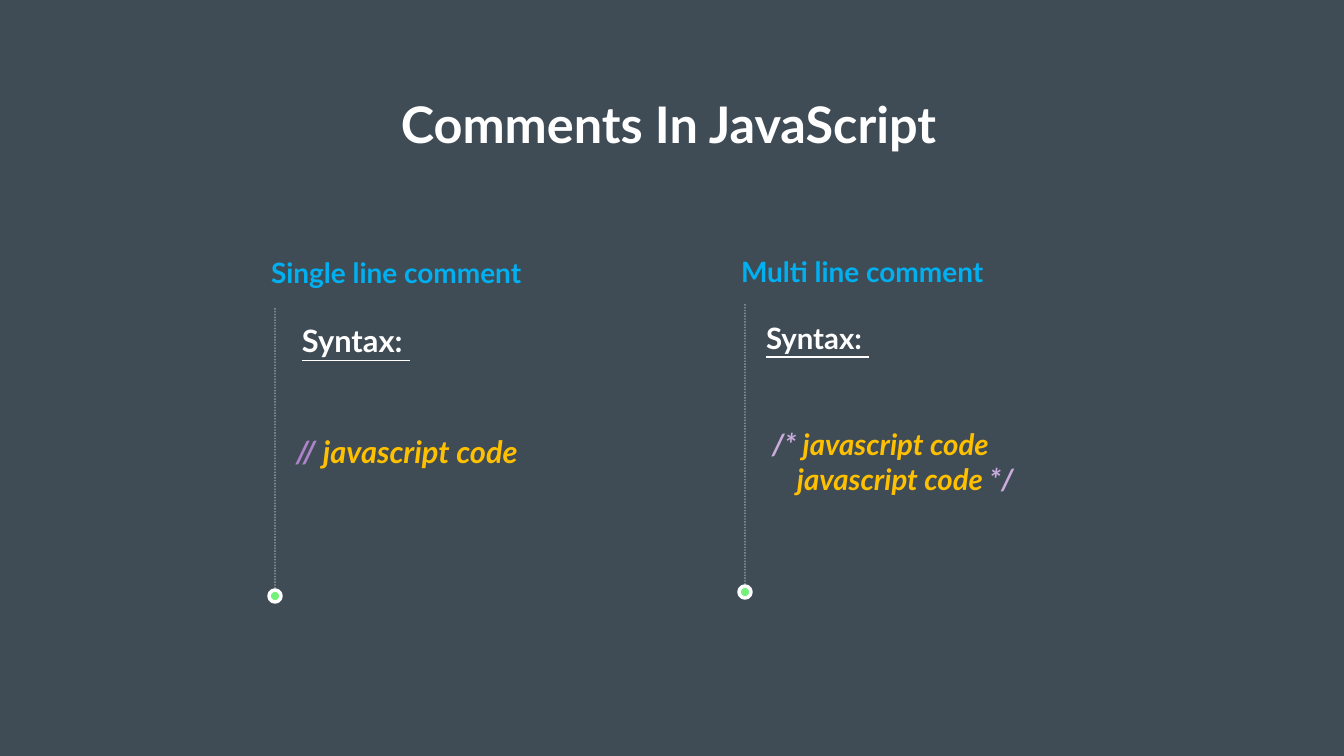
from pptx import Presentation
from pptx import util as u
from pptx.dml.color import RGBColor
from pptx.enum import dml, shapes, text
from pptx.oxml.ns import qn
from lxml import etree

PX = 914400 / 50.4
COLORS = {"ground": "404C55", "white": "FFFFFF", "blue": "00B0F0", "gold": "FFC000",
          "purple": "AF82CC", "lilac": "CAACDD", "green": "73F17A"}
DOT = 12

# Content: each code line is an indent in px and its (text, colour) spans
TITLE = "Comments In JavaScript"
COLUMNS = [
    {"heading": "Single line comment", "heading_box": (267, 250, 283, 42),
     "rail": (275, 308, 597), "body_box": (296, 322, 292, 186), "size": 44,
     "syntax_indent": 6,
     "code": [(0, [("// ", "purple"), ("javascript code", "gold")])]},
    {"heading": "Multi line comment", "heading_box": (737, 249, 264, 42),
     "rail": (745, 304, 593), "body_box": (766, 320, 338, 178), "size": 42,
     "syntax_indent": 0,
     "code": [(6, [("/* ", "lilac"), ("javascript code", "gold")]),
              (31, [("javascript code ", "gold"), ("*/", "lilac")])]},
]


def px(value):
    return u.Emu(round(value * PX))


def rgb(name):
    return RGBColor.from_string(COLORS[name])


def place(box, bounds, inset, anchor):
    box.left, box.top, box.width, box.height = map(px, bounds)
    frame = box.text_frame
    frame.word_wrap = True
    frame.auto_size = text.MSO_AUTO_SIZE.NONE
    frame.vertical_anchor = anchor
    frame.margin_left = frame.margin_right = px(inset)
    frame.margin_top = frame.margin_bottom = px(inset)
    return frame


def write(para, spans, size, indent=0, before=0, spacing=1.0, align=text.PP_ALIGN.LEFT,
          italic=False, underline=False):
    para.alignment = align
    para.line_spacing = spacing
    para.space_before = u.Pt(before)
    props = para._p.get_or_add_pPr()
    props.set("marL", str(px(indent)))
    props.set("indent", "0")
    etree.SubElement(props, qn("a:buNone"))
    for words, color in spans:
        span = para.add_run()
        span.text = words
        font = span.font
        font.name, font.size, font.bold = "Lato", u.Pt(size), True
        font.italic, font.underline = italic, underline
        font.color.rgb = rgb(color)


def add_rail(page, x, top, bottom):
    rail = page.shapes.add_connector(shapes.MSO_CONNECTOR.STRAIGHT,
                                     px(x), px(bottom), px(x), px(top))
    rail.line.width = u.Pt(2)
    rail.line.color.rgb = rgb("white")
    rail.line.dash_style = dml.MSO_LINE.ROUND_DOT
    color = rail.line._ln.find(".//" + qn("a:srgbClr"))
    etree.SubElement(color, qn("a:alpha"), val="50000")
    etree.SubElement(rail._element.spPr, qn("a:effectLst"))

    dot = page.shapes.add_shape(shapes.MSO_SHAPE.OVAL, px(x - DOT / 2),
                                px(bottom - 1 - DOT / 2), px(DOT), px(DOT))
    dot.shadow.inherit = False
    dot.fill.solid()
    dot.fill.fore_color.rgb = rgb("green")
    dot.line.color.rgb = rgb("white")
    dot.line.width = u.Pt(5)


def main():
    deck = Presentation()
    deck.slide_width, deck.slide_height = px(1344), px(756)
    page = deck.slides.add_slide(deck.slide_layouts.get_by_name("Comparison"))
    page.background.fill.solid()
    page.background.fill.fore_color.rgb = rgb("ground")
    title, *holders = page.placeholders

    # Title
    frame = place(title, (115, 104, 1107, 49), 0, text.MSO_ANCHOR.MIDDLE)
    write(frame.paragraphs[0], [(TITLE, "white")], 72, spacing=0.8,
          align=text.PP_ALIGN.CENTER)

    # Columns: heading, syntax and code, dotted rail with its dot
    for column, heading, body in zip(COLUMNS, holders[::2], holders[1::2]):
        frame = place(heading, column["heading_box"], 4, text.MSO_ANCHOR.MIDDLE)
        write(frame.paragraphs[0], [(column["heading"], "blue")], 40, spacing=1.1)

        size = column["size"]
        frame = place(body, column["body_box"], 0, text.MSO_ANCHOR.TOP)
        write(frame.paragraphs[0], [("Syntax: ", "white")], size,
              indent=column["syntax_indent"], underline=True)
        for row, (indent, spans) in enumerate(column["code"]):
            gap = 0 if row else round(size * 2.4)  # two empty lines
            write(frame.add_paragraph(), spans, size, indent, gap, italic=True)

        add_rail(page, *column["rail"])

    deck.save("out.pptx")


if __name__ == "__main__":
    main()
